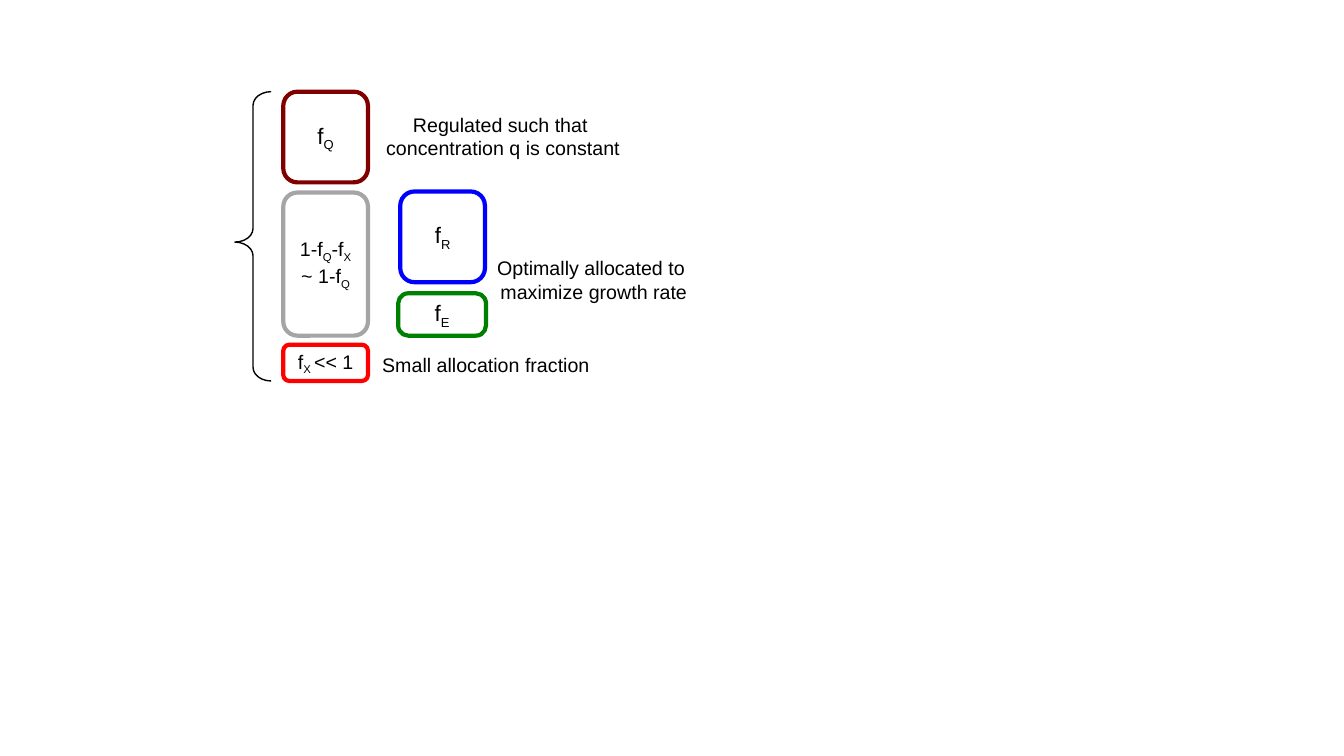
from pptx import Presentation
from pptx.dml.color import RGBColor
from pptx.enum.shapes import MSO_SHAPE
from pptx.enum.text import MSO_ANCHOR, PP_ALIGN
from pptx.util import Inches, Pt

prs = Presentation()
prs.slide_width, prs.slide_height = Inches(13.33), Inches(7.5)
slide = prs.slides.add_slide(prs.slide_layouts[6])


def color(hex_code):
    return RGBColor.from_string(hex_code)


def write(frame, *lines, size=14, anchor=MSO_ANCHOR.TOP, inset=0.1):
    """Write centred lines; every second part between bars is a subscript."""
    frame.word_wrap = True
    frame.vertical_anchor = anchor
    frame.margin_left = frame.margin_right = Inches(inset)
    for row, line in enumerate(lines):
        paragraph = frame.add_paragraph() if row else frame.paragraphs[0]
        paragraph.alignment = PP_ALIGN.CENTER
        for index, part in enumerate(line.split("|")):
            if not part:
                continue
            run = paragraph.add_run()
            run.text = part
            run.font.size = Pt(size)
            run.font.name = "Arial"
            run.font.color.rgb = color("000000")
            if index % 2:
                run._r.get_or_add_rPr().set("baseline", "-25000")


TOTAL_LEFT, SPLIT_LEFT, FRACTION_WIDTH = 2.81, 3.97, 0.84
TOP, BOTTOM = 0.91, 3.78

# left, top, width, height, outline, corner, formula, text size
fractions = [
    (TOTAL_LEFT, TOP, FRACTION_WIDTH, 0.9, "800000", 0.167, "f|Q|", 16),
    (TOTAL_LEFT, 1.91, FRACTION_WIDTH, 1.42, "A5A5A5", 0.167, "1-f|Q|-f|X| ~ 1-f|Q|", 14),
    (TOTAL_LEFT, 3.42, FRACTION_WIDTH, 0.36, "FF0000", 0.167, "f|X |<< 1", 14),
    (SPLIT_LEFT, 1.9, FRACTION_WIDTH, 0.9, "0000FF", 0.167, "f|R|", 16),
    (3.95, 2.91, 0.87, 0.42, "008000", 0.235, "f|E|", 16),
]
for left, top, width, height, outline, corner, formula, size in fractions:
    fraction = slide.shapes.add_shape(
        MSO_SHAPE.ROUNDED_RECTANGLE, Inches(left), Inches(top), Inches(width), Inches(height))
    fraction.adjustments[0] = corner
    fraction.shadow.inherit = False
    fraction.fill.solid()
    fraction.fill.fore_color.rgb = color("FFFFFF")
    fraction.line.color.rgb = color(outline)
    fraction.line.width = Pt(3)
    write(fraction.text_frame, formula, size=size, anchor=MSO_ANCHOR.MIDDLE, inset=0.08)

explanations = [
    (3.49, 1.07, 3, 0.57, ["Regulated such that ", "concentration q is constant"]),
    (4.75, 2.49, 2.28, 0.57, ["Optimally allocated to ", "maximize growth rate"]),
    (3.63, 3.45, 2.38, 0.34, ["Small allocation fraction"]),
]
for left, top, width, height, lines in explanations:
    explanation = slide.shapes.add_textbox(
        Inches(left), Inches(top), Inches(width), Inches(height))
    write(explanation.text_frame, *lines)

brace = slide.shapes.add_shape(
    MSO_SHAPE.LEFT_BRACE, Inches(2.33), Inches(TOP), Inches(0.36), Inches(BOTTOM - TOP))
brace.adjustments[0], brace.adjustments[1] = 0.377, 0.52
brace.shadow.inherit = False
brace.fill.background()
brace.line.color.rgb = color("000000")
brace.line.width = Pt(1)

prs.save("out.pptx")
